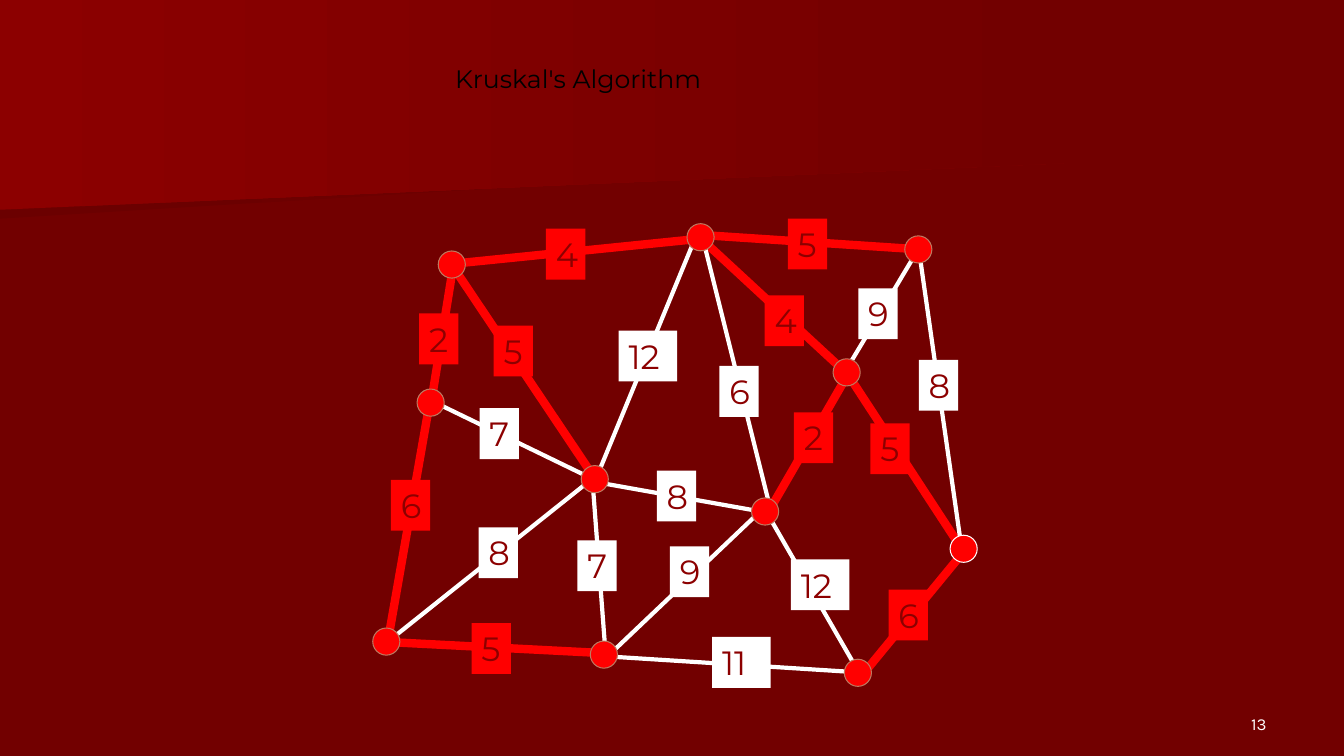
from dataclasses import dataclass

from lxml.etree import SubElement
from pptx import Presentation
from pptx.dml.color import RGBColor as Rgb
from pptx.enum.shapes import MSO_CONNECTOR as Link, MSO_SHAPE as Preset
from pptx.enum.text import MSO_ANCHOR as Anchor, PP_ALIGN as Align
from pptx.oxml.ns import qn
from pptx.shapes.autoshape import Shape
from pptx.slide import Slide
from pptx.util import Pt

Point = tuple[float, float]


@dataclass(frozen=True)
class Theme:
    ground: Rgb = Rgb.from_string("720000")
    glow: Rgb = Rgb.from_string("8C0000")
    shade: Rgb = Rgb.from_string("6B0000")
    tree: Rgb = Rgb.from_string("FF0000")
    white: Rgb = Rgb.from_string("FFFFFF")
    black: Rgb = Rgb.from_string("000000")
    rim: Rgb = Rgb.from_string("BE7960")
    font: str = "Montserrat"
    number_font: str = "Karla"
    title_size: float = 18
    weight_size: float = 24
    number_size: float = 12


@dataclass(frozen=True)
class Band:
    outline: list[Point]
    start_color: Rgb


@dataclass(frozen=True)
class Node:
    left: float
    top: float
    rim: Rgb


@dataclass(frozen=True)
class Edge:
    start: Point
    end: Point
    weight: int
    label: Point
    in_tree: bool = False


THEME = Theme()
NODE_SIZE = 19.4
LABEL_HEIGHT = 36.3
LABEL_WIDTHS = {1: 28.1, 2: 41.8}

BANDS = [
    Band([(746.6, 110.2), (0, 156.2), (0, 72.7), (748.1, 72.7), (746.6, 92.2)], THEME.shade),
    Band([(760.3, 116.6), (0, 149.8), (0, 0), (760.3, 0)], THEME.glow),
]

NODES = [
    Node(298.1, 277.9, THEME.rim),
    Node(313.2, 179.3, THEME.rim),
    Node(603.4, 470.9, THEME.rim),
    Node(679, 382.3, THEME.white),
    Node(646.6, 168.5, THEME.rim),
    Node(415.4, 332.6, THEME.rim),
    Node(421.9, 457.9, THEME.rim),
    Node(595.4, 256.3, THEME.rim),
    Node(537.1, 355.7, THEME.rim),
    Node(266.4, 448.6, THEME.rim),
    Node(491, 159.8, THEME.rim),
]

EDGES = [
    Edge((432.7, 465.8), (423.4, 342.7), 7, (412.6, 385.9)),
    Edge((550.8, 362.9), (607, 265.7), 2, (567.4, 294.5), True),
    Edge((277.2, 457.9), (307.4, 285.8), 6, (279.4, 342.7), True),
    Edge((424.8, 341.3), (321.1, 186.5), 5, (352.8, 232.6), True),
    Edge((614.2, 481), (548.6, 367.2), 12, (565.2, 399.6)),
    Edge((652.3, 177.8), (500.4, 167.8), 5, (563, 156.2), True),
    Edge((689, 394.6), (604.8, 265.7), 5, (622.1, 302.4), True),
    Edge((431.3, 468.7), (612.7, 480.2), 11, (509, 455)),
    Edge((431.3, 471.6), (545.8, 362.9), 9, (478.8, 390.2)),
    Edge((426.2, 343.4), (307.4, 285.8), 7, (342.7, 291.6)),
    Edge((308.2, 287.3), (324, 189.4), 2, (299.5, 223.9), True),
    Edge((614.9, 483.8), (688.3, 394.6), 6, (635, 421.2), True),
    Edge((497.5, 168.5), (426.2, 341.3), 12, (442.1, 236.2)),
    Edge((277.2, 458.6), (432.7, 466.6), 5, (337, 445), True),
    Edge((550.1, 366.5), (420.5, 343.4), 8, (469.4, 336.2)),
    Edge((604.8, 266.4), (500.4, 169.9), 4, (546.5, 211), True),
    Edge((603.4, 266.4), (658.1, 175), 9, (613.4, 205.9)),
    Edge((321.8, 188.6), (499.7, 170.6), 4, (390.2, 163.4), True),
    Edge((275, 460.1), (424.1, 341.3), 8, (342, 376.6)),
    Edge((550.8, 364.3), (501.8, 168.5), 6, (514.1, 261.4)),
    Edge((686.9, 389.5), (656.6, 177.8), 8, (656.6, 257)),
]


def write(box: Shape, text: str, font: str, size: float, color: Rgb, align: Align = Align.LEFT) -> None:
    """Put one styled run into a box."""
    para = box.text_frame.paragraphs[0]
    para.alignment = align
    span = para.add_run()
    span.text = text
    span.font.name = font
    span.font.size = Pt(size)
    span.font.color.rgb = color


def draw_band(page: Slide, band: Band) -> None:
    """Draw a background band fading into the ground colour."""
    corners = [(Pt(x), Pt(y)) for x, y in band.outline]
    builder = page.shapes.build_freeform(*corners[0])
    builder.add_line_segments(corners[1:], close=True)
    shape = builder.convert_to_shape()
    shape.shadow.inherit = False
    shape.line.fill.background()
    shape.fill.gradient()
    shape.fill.gradient_angle = 0
    for stop, color in zip(shape.fill.gradient_stops, (band.start_color, THEME.ground)):
        stop.color.rgb = color


def draw_edge(page: Slide, edge: Edge) -> None:
    """Draw the line of an edge, thick and red when it is in the tree."""
    line = page.shapes.add_connector(Link.STRAIGHT, *map(Pt, edge.start + edge.end))
    line.line.color.rgb = THEME.tree if edge.in_tree else THEME.white
    line.line.width = Pt(6 if edge.in_tree else 3)
    SubElement(line.element.spPr, qn("a:effectLst"))


def draw_node(page: Slide, node: Node) -> None:
    """Draw a vertex as a small circle."""
    circle = page.shapes.add_shape(Preset.OVAL, *map(Pt, (node.left, node.top, NODE_SIZE, NODE_SIZE)))
    circle.shadow.inherit = False
    circle.fill.solid()
    circle.fill.fore_color.rgb = THEME.tree
    circle.line.color.rgb = node.rim
    circle.line.width = Pt(0.75)


def draw_weight(page: Slide, edge: Edge) -> None:
    """Draw the boxed weight of an edge."""
    text = str(edge.weight)
    size = (LABEL_WIDTHS[len(text)], LABEL_HEIGHT)
    box = page.shapes.add_shape(Preset.RECTANGLE, *map(Pt, edge.label + size))
    box.shadow.inherit = False
    box.line.fill.background()
    box.fill.solid()
    box.fill.fore_color.rgb = THEME.tree if edge.in_tree else THEME.white
    frame = box.text_frame
    frame.word_wrap = True
    frame.vertical_anchor = Anchor.TOP
    frame.margin_right = Pt(0)
    write(box, text, THEME.font, THEME.weight_size, THEME.glow)


def main() -> None:
    """Build the slide on Kruskal's algorithm and save it."""
    deck = Presentation()
    deck.slide_width, deck.slide_height = Pt(960.48), Pt(540)
    page = deck.slides.add_slide(deck.slide_layouts[6])
    page.background.fill.solid()
    page.background.fill.fore_color.rgb = THEME.ground

    for band in BANDS:
        draw_band(page, band)

    number = page.shapes.add_textbox(*map(Pt, (688.3, 491.8, 223.9, 36)))
    number.text_frame.word_wrap = True
    number.text_frame.vertical_anchor = Anchor.BOTTOM
    write(number, "13", THEME.number_font, THEME.number_size, THEME.white, Align.RIGHT)

    for edge in EDGES:
        draw_edge(page, edge)
    for node in NODES:
        draw_node(page, node)
    for edge in EDGES:
        draw_weight(page, edge)

    title = page.shapes.add_textbox(*map(Pt, (318.2, 41.8, 336.2, 48.2)))
    title.text_frame.word_wrap = False
    write(title, "Kruskal's Algorithm", THEME.font, THEME.title_size, THEME.black)

    deck.save("out.pptx")


if __name__ == "__main__":
    main()
